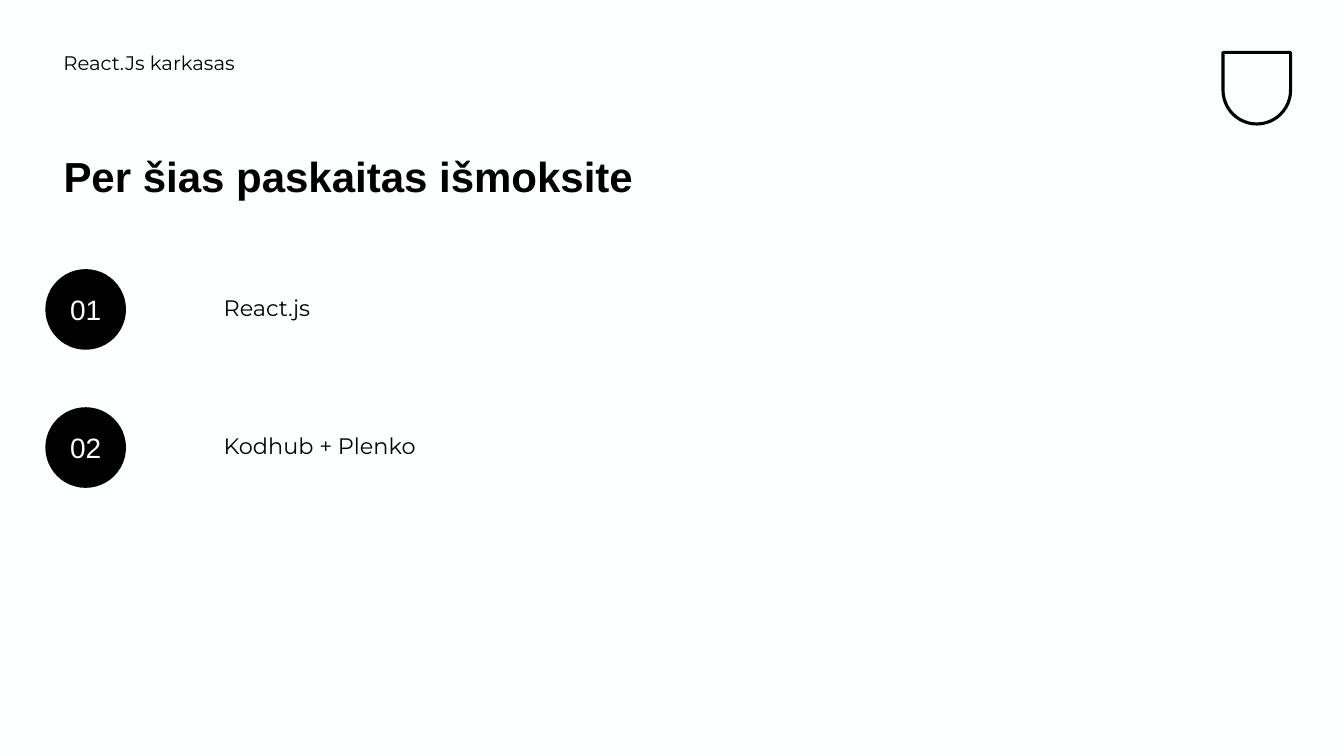
from pptx import Presentation
from pptx.dml.color import RGBColor
from pptx.enum.shapes import MSO_SHAPE
from pptx.enum.text import MSO_ANCHOR, PP_ALIGN
from pptx.util import Inches, Pt

COURSE = "React.Js karkasas"
TITLE = "Per šias paskaitas išmoksite"
TOPICS = ["React.js", "Kodhub + Plenko"]

BLACK = RGBColor(0x00, 0x00, 0x00)
WHITE = RGBColor(0xFE, 0xFF, 0xFF)
HEADING_FONT, BODY_FONT = "Arial", "Montserrat"
OVAL, SHIELD = MSO_SHAPE.OVAL, MSO_SHAPE.ROUND_2_SAME_RECTANGLE
TOP, MIDDLE = MSO_ANCHOR.TOP, MSO_ANCHOR.MIDDLE
LEFT, CENTER = PP_ALIGN.LEFT, PP_ALIGN.CENTER

FIRST_ROW, ROW_STEP, ROW_HEIGHT = 2.67, 1.37, 0.8


def inches(*lengths):
    return [Inches(length) for length in lengths]


def write(box, text, font, size, color=BLACK, bold=False,
          anchor=TOP, align=LEFT, spacing=0.9):
    frame = box.text_frame
    frame.text = text
    frame.word_wrap = True
    frame.vertical_anchor = anchor
    frame.margin_left = frame.margin_right = Inches(0.1)
    frame.margin_top = frame.margin_bottom = Inches(0.05)
    para = frame.paragraphs[0]
    para.alignment = align
    para.line_spacing = spacing
    span = para.runs[0].font
    span.name, span.size, span.bold = font, Pt(size), bold
    span.color.rgb = color


deck = Presentation()
deck.slide_width, deck.slide_height = inches(13.33, 7.5)
page = deck.slides.add_slide(deck.slide_layouts[5])
page.background.fill.solid()
page.background.fill.fore_color.rgb = WHITE

badge = page.shapes.add_shape(SHIELD, *inches(12.13, 0.52, 0.67, 0.71))
badge.rotation = 180
badge.adjustments[0] = 0.5
badge.shadow.inherit = False
badge.fill.background()
badge.line.color.rgb = BLACK
badge.line.width = Pt(2.25)

course = page.shapes.add_textbox(*inches(0.53, 0.5, 6.14, 0.5))
write(course, COURSE, BODY_FONT, 14, spacing=0.8)

title = page.shapes.title
title.left, title.top, title.width, title.height = inches(0.53, 1.5, 6.68, 1.49)
write(title, TITLE, HEADING_FONT, 30, bold=True)

for index, topic in enumerate(TOPICS):
    top = FIRST_ROW + index * ROW_STEP
    circle = page.shapes.add_shape(OVAL, *inches(0.45, top, ROW_HEIGHT, ROW_HEIGHT))
    circle.shadow.inherit = False
    circle.fill.solid()
    circle.fill.fore_color.rgb = BLACK
    circle.line.fill.background()
    write(circle, f"{index + 1:02}", HEADING_FONT, 20, WHITE,
          anchor=MIDDLE, align=CENTER, spacing=1.0)
    label = page.shapes.add_textbox(*inches(2.12, top, 6.05, ROW_HEIGHT))
    write(label, topic, BODY_FONT, 16, anchor=MIDDLE)

deck.save("out.pptx")
